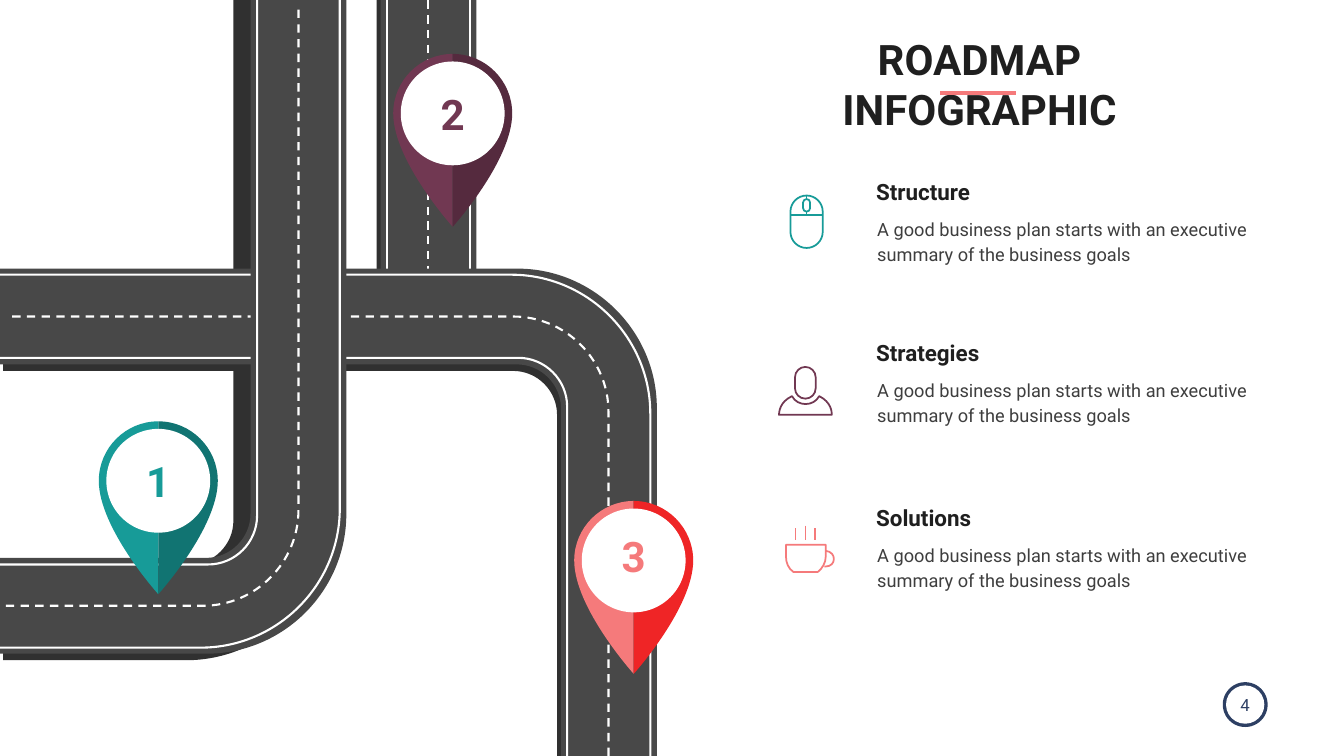
from lxml import etree
from pptx import Presentation
from pptx.dml.color import RGBColor
from pptx.enum import dml, shapes, text
from pptx.oxml.ns import qn
from pptx.util import Inches, Pt

COLORS = {
    "road": "484848", "shadow": "303030", "white": "FFFFFF", "navy": "2D3F63",
    "title": "1F1F1F", "body": "3E3E3E", "teal": "179B98", "dark teal": "117472",
    "plum": "713852", "dark plum": "552A3E", "coral": "F57A7B", "red": "EF2526",
}
TITLE_LINES = ["ROADMAP", "INFOGRAPHIC"]
SUMMARY = "A good business plan starts with an executive summary of the business goals"
STEPS = [("Structure", 3.48), ("Strategies", 6.67), ("Solutions", 9.95)]  # name, top
PAGE_NUMBER = "4"

# number, centre of the head, light side, dark side, top of the number
PINS = [
    ("1", 3.14, 9.54, "teal", "dark teal", 8.99),
    ("2", 8.98, 2.25, "plum", "dark plum", 1.7),
    ("3", 12.57, 11.12, "coral", "red", 10.48),
]

# Outlines: (x, y) is a point, (x, y, r) a rounded corner, six numbers a Bezier curve
ROAD_SHADOW = [
    (4.63, 0), (6.54, 0), (6.54, 5.46), (7.47, 5.46), (7.47, 0), (9.37, 0),
    (9.37, 5.46), (12.95, 5.46, 2.77), (12.95, 15), (11.05, 15),
    (11.05, 7.36, 0.87), (6.54, 7.36), (6.54, 13.1, 2.85), (0.06, 13.1),
    (0.06, 11.2), (4.63, 11.2, 0.87), (4.63, 7.36), (0.06, 7.36), (0.06, 5.46),
    (4.63, 5.46), (4.63, 0),
]
SIDE_ROAD = [(7.55, 0), (9.45, 0), (9.45, 7.07), (7.55, 7.07), (7.55, 0)]
CROSS_ROAD = [(0, 5.33), (13.03, 5.33, 2.77), (13.03, 15), (11.13, 15),
              (11.13, 7.23, 0.88), (0, 7.23), (0, 5.33)]
MAIN_ROAD = [(4.97, 0), (6.87, 0), (6.87, 12.97, 2.77), (0, 12.97), (0, 11.07),
             (4.97, 11.07, 0.88), (4.97, 0)]
SIDE_LANES = [(8.49, 0.01, True), (9.33, 0, False), (7.67, 0, False)]  # x, top, dashed

# start, rounded corner, end; the first lane of each road is the dashed one
CROSS_LANES = [
    [(0.24, 6.28), (12.07, 6.28, 1.89), (12.07, 15)],
    [(0, 5.45), (12.9, 5.45, 2.76), (12.9, 15)],
    [(0, 7.1), (11.25, 7.1, 0.97), (11.25, 15)],
]
MAIN_LANES = [
    [(5.92, 0.19), (5.92, 12.02, 1.9), (0, 12.02)],
    [(6.74, 0), (6.74, 12.85, 2.76), (0, 12.85)],
    [(5.1, 0), (5.1, 11.2, 0.97), (0, 11.2)],
]


def pill(left, top, width, height):
    r, right, bottom = width / 2, left + width, top + height
    return [(left, top + r), (left, top, r), (right, top, r),
            (right, bottom, r), (left, bottom, r), (left, top + r)]


ICONS = [
    ("teal", [  # mouse
        pill(15.68, 3.88, 0.64, 1.04), pill(15.93, 3.95, 0.14, 0.25),
        [(15.68, 4.26), (16.32, 4.26)], [(16, 3.88), (16, 3.95)],
        [(16, 4.2), (16, 4.26)]]),
    ("plum", [  # person
        pill(15.77, 7.28, 0.41, 0.63),
        [(15.45, 8.23), (15.46, 8.17, 15.46, 7.98, 15.71, 7.86),
         (15.82, 8.07, 16.14, 8.07, 16.25, 7.86),
         (16.49, 7.98, 16.5, 8.17, 16.5, 8.23), (15.45, 8.23)]]),
    ("coral", [  # cup
        [(15.59, 10.81), (16.38, 10.81), (16.38, 11.04),
         (16.38, 11.17, 16.31, 11.28, 16.22, 11.35), (15.74, 11.35),
         (15.64, 11.28, 15.59, 11.17, 15.59, 11.04), (15.59, 10.81)],
        [(16.38, 10.93), (16.6, 10.95, 16.59, 11.24, 16.38, 11.24), (16.35, 11.24)],
        [(15.78, 10.48), (15.78, 10.72)], [(15.98, 10.43), (15.98, 10.72)],
        [(16.17, 10.48), (16.17, 10.72)]]),
]

prs = Presentation()
prs.slide_width, prs.slide_height = Inches(26.66), Inches(15)
slide = prs.slides.add_slide(prs.slide_layouts[5])


def rgb(name):
    return RGBColor.from_string(COLORS[name])


def segments(outline):
    """Return lists of one point for a line and of three points for a curve."""
    parts = []
    for i, part in enumerate(outline):
        if len(part) == 2:
            parts.append([part])
        elif len(part) == 6:
            parts.append([part[:2], part[2:4], part[4:]])
        else:
            x, y, r = part
            arc = []
            for near, shares in ((outline[i - 1], (1, 0.45)), (outline[i + 1], (0.45, 1))):
                dx, dy = near[0] - x, near[1] - y
                size = (dx * dx + dy * dy) ** 0.5
                arc += [(x + dx * r * s / size, y + dy * r * s / size) for s in shares]
            parts += [arc[:1], arc[1:]]
    return parts


def paint(shape, fill=None, line=None, width=3, dashed=False):
    shape.shadow.inherit = False
    if fill:
        shape.fill.solid()
        shape.fill.fore_color.rgb = rgb(fill)
    else:
        shape.fill.background()
    stroke(shape.line, line, width, dashed)


def stroke(pen, color, width=3, dashed=False):
    if not color:
        pen.fill.background()
        return
    pen.color.rgb, pen.width = rgb(color), Pt(width)
    if dashed:
        pen.dash_style = dml.MSO_LINE.DASH


def draw(outlines, **look):
    builder, drawn = None, []
    for outline in outlines:
        first, *rest = segments(outline)
        start = [Inches(v) for v in first[0]]
        if builder is None:
            builder = slide.shapes.build_freeform(*start)
        else:
            builder.move_to(*start)
        builder.add_line_segments([(Inches(x), Inches(y)) for part in rest for x, y in part],
                                  close=outline[0] == outline[-1])
        drawn += rest
    shape = builder.convert_to_shape()
    # Three points in a row become one Bezier curve
    lines = iter(list(shape._element.iter(qn("a:lnTo"))))
    for part in drawn:
        curve, *others = [next(lines) for _ in part]
        if others:
            curve.tag = qn("a:cubicBezTo")
        for other in others:
            curve.append(other[0])
            other.getparent().remove(other)
    paint(shape, **look)


def straight(x1, y1, x2, y2, color, **look):
    line = slide.shapes.add_connector(
        shapes.MSO_CONNECTOR.STRAIGHT, *map(Inches, (x1, y1, x2, y2)))
    stroke(line.line, color, **look)
    etree.SubElement(line._element.spPr, qn("a:effectLst"))


def disc(cx, cy, diameter, fill):
    box = (cx - diameter / 2, cy - diameter / 2, diameter, diameter)
    paint(slide.shapes.add_shape(shapes.MSO_SHAPE.OVAL, *map(Inches, box)), fill=fill)


def write(box, lines, size, color, bold=False, align=text.PP_ALIGN.LEFT, spacing=None, **frame):
    tf = box.text_frame
    settings = {"word_wrap": False, "auto_size": text.MSO_AUTO_SIZE.NONE,
                "vertical_anchor": text.MSO_ANCHOR.TOP, **frame}
    for key, value in settings.items():
        setattr(tf, key, value)
    p = tf.paragraphs[0]
    for i, words in enumerate(lines):
        if i:
            p.add_line_break()
        run = p.add_run()
        run.text = words
        for key, value in {"name": "Roboto", "size": Pt(size), "bold": bold}.items():
            setattr(run.font, key, value)
        run.font.color.rgb = rgb(color)
    p.alignment, p.line_spacing = align, spacing


def textbox(*box):
    return slide.shapes.add_textbox(*map(Inches, box))


CENTER = text.PP_ALIGN.CENTER

# Roads and lanes
draw([ROAD_SHADOW], fill="shadow")
draw([SIDE_ROAD], fill="road")
for x, top, dashed in SIDE_LANES:
    straight(x, top, x, 5.5, "white", dashed=dashed)
for road, lanes in ((CROSS_ROAD, CROSS_LANES), (MAIN_ROAD, MAIN_LANES)):
    draw([road], fill="road")
    for i, lane in enumerate(lanes):
        draw([lane], line="white", dashed=i == 0)

# Title and underline
title = slide.shapes.title
for key, value in {"left": 14.75, "top": 0.61, "width": 9.36, "height": 2.1}.items():
    setattr(title, key, Inches(value))
write(title, TITLE_LINES, 60, "title", bold=True, align=CENTER)
straight(18.65, 1.85, 20.15, 1.85, "coral", width=5)

# Steps with their icons
for (name, top), (color, outlines) in zip(STEPS, ICONS):
    write(textbox(17.28, top, 2.32, 0.64), [name], 32, "title", bold=True,
          vertical_anchor=text.MSO_ANCHOR.MIDDLE)
    write(textbox(17.2, top + 0.68, 7.8, 1.18), [SUMMARY], 26, "body", spacing=Pt(36),
          word_wrap=True, margin_left=Inches(0.2), margin_right=Inches(0.2),
          margin_top=Inches(0.1), margin_bottom=Inches(0.1))
    draw(outlines, line=color, width=2.5)

# Numbered pins
for number, cx, cy, light, dark, top in PINS:
    r, tip = 1.18, cy + 2.25
    for side, fill in ((-1, light), (1, dark)):
        edge = cx + side * r
        draw([[(cx, tip), (cx, cy - r), (edge, cy - r, r), (edge, cy),
               (edge, cy + 0.94, cx, tip, cx, tip)]], fill=fill)
    disc(cx, cy, 2.06, "white")
    write(textbox(cx - 0.32, top, 0.64, 1.11), [number], 60, light, bold=True, align=CENTER)

# Page number
disc(24.7, 13.98, 0.89, "navy")
disc(24.7, 13.98, 0.76, "white")
write(textbox(24.4, 13.73, 0.6, 0.5), [PAGE_NUMBER], 24, "navy", align=CENTER)

prs.save("out.pptx")
